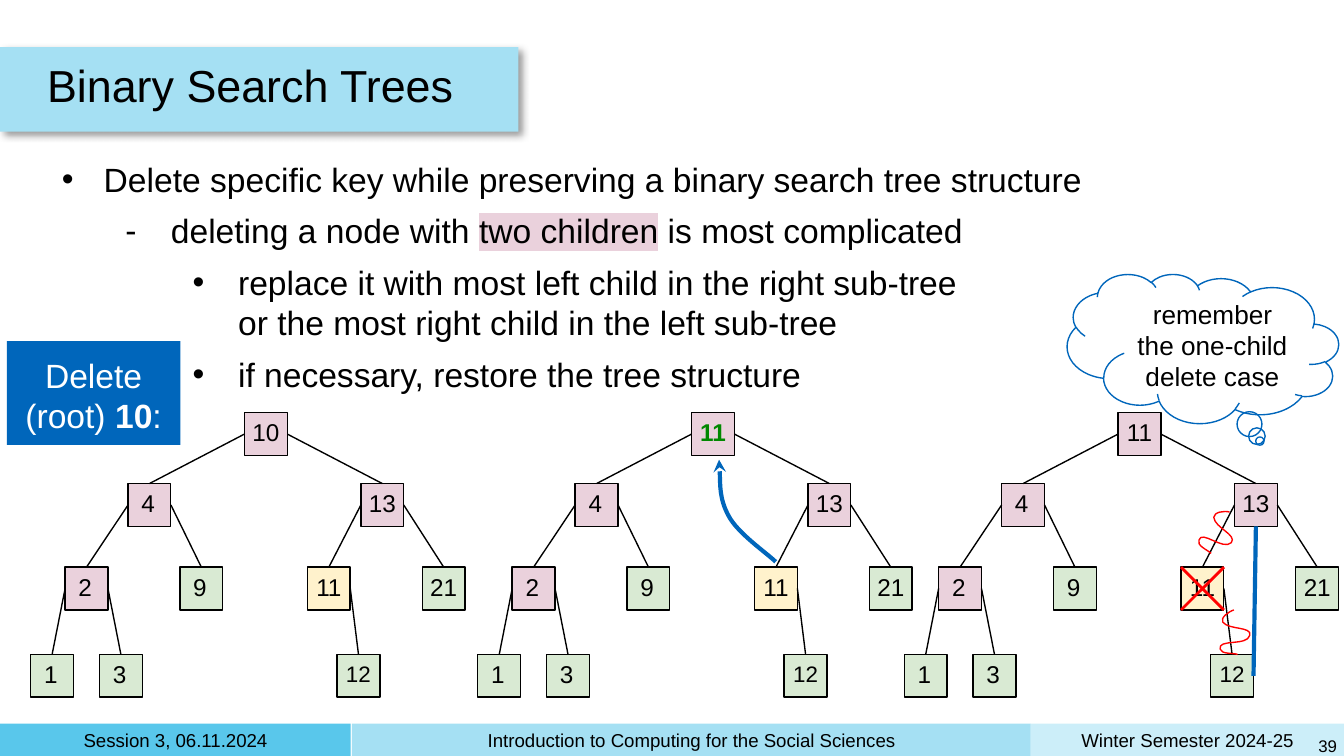
import pptx
import pptx.dml.color
import pptx.enum.shapes
import pptx.enum.text
import pptx.oxml
import pptx.oxml.ns
import pptx.util

Cm = pptx.util.Cm
Pt = pptx.util.Pt
RGB = pptx.dml.color.RGBColor
SHAPE = pptx.enum.shapes.MSO_SHAPE
ALIGN = pptx.enum.text.PP_ALIGN
ANCHOR = pptx.enum.text.MSO_ANCHOR
qn = pptx.oxml.ns.qn

BLACK = RGB(0x00, 0x00, 0x00)
WHITE = RGB(0xFF, 0xFF, 0xFF)
BLUE = RGB(0x00, 0x66, 0xBB)
RED = RGB(0xFF, 0x00, 0x00)
GREEN = RGB(0x00, 0x88, 0x00)
SKY = RGB(0x59, 0xC7, 0xEB)
SKY_LIGHT = RGB(0xA5, 0xE0, 0xF3)
SKY_PALE = RGB(0xCC, 0xEE, 0xF9)
PINK = RGB(0xEA, 0xD1, 0xDC)
LEAF = RGB(0xD9, 0xEA, 0xD3)
CREAM = RGB(0xFF, 0xF2, 0xCC)

NODE_SIZE = 0.81
ROW_TOPS = (7.8, 9.14, 10.72, 12.37)
# name: (label, offset from the root, row, fill, parent)
NODES = {
    "root": ("10", 0, 0, PINK, None),
    "4": ("4", -2.2, 1, PINK, "root"),
    "13": ("13", 2.2, 1, PINK, "root"),
    "2": ("2", -3.39, 2, PINK, "4"),
    "9": ("9", -1.22, 2, LEAF, "4"),
    "11": ("11", 1.19, 2, CREAM, "13"),
    "21": ("21", 3.36, 2, LEAF, "13"),
    "1": ("1", -4.04, 3, LEAF, "2"),
    "3": ("3", -2.74, 3, LEAF, "2"),
    "12": ("12", 1.75, 3, LEAF, "11"),
}
TOP, LEFT, BOTTOM, RIGHT = range(4)  # connection sites of a rectangle

MOVE_UP = [(14.66, 10.62), (14.5, 10.46), (13.94, 10.08), (13.77, 9.75),
           (13.59, 9.42), (13.61, 8.86), (13.59, 8.69)]
UPPER_SQUIGGLE = [(22.89, 10.46), (22.81, 10.39), (22.61, 10.31), (22.66, 10.21),
                  (22.71, 10.01), (23.11, 10.41), (23.27, 10.26),
                  (23.39, 10.11), (22.96, 9.98), (22.94, 9.78),
                  (22.94, 9.68), (23.14, 9.65), (23.24, 9.68)]
LOWER_SQUIGGLE = [(23.39, 12.37), (23.29, 12.34), (23.09, 12.37), (23.06, 12.27),
                  (23.01, 12.07), (23.57, 12.22), (23.62, 12.01),
                  (23.67, 11.84), (23.22, 11.91), (23.11, 11.76),
                  (23.06, 11.68), (23.22, 11.56), (23.32, 11.53)]


def xml(markup):
    """Parse one DrawingML element, given without its namespace."""
    head, rest = markup.split(" ", 1)
    return pptx.oxml.parse_xml(f"{head} {pptx.oxml.ns.nsdecls('a')} {rest}")


def add_text(para, text, size=18, color=BLACK, bold=None, highlight=None):
    for number, line in enumerate(text.split("\n")):
        if number:
            para.add_line_break()
        span = para.add_run()
        span.text = line
        span.font.size = Pt(size)
        span.font.bold = bold
        span.font.name = "Arial"
        span.font.color.rgb = color
        if highlight is not None:
            fill = span.font.fill._xPr.find(qn("a:solidFill"))
            fill.addnext(xml(f'<a:highlight ><a:srgbClr val="{highlight}"/></a:highlight>'))


def set_frame(box, insets=(0.13,) * 4, anchor=ANCHOR.MIDDLE, align=ALIGN.CENTER, wrap=True):
    """Set up the text frame and give back its first paragraph."""
    frame = box.text_frame
    frame.auto_size = pptx.enum.text.MSO_AUTO_SIZE.NONE
    frame.word_wrap = wrap
    frame.vertical_anchor = anchor
    frame.margin_left, frame.margin_top, frame.margin_right, frame.margin_bottom = map(Cm, insets)
    frame.paragraphs[0].alignment = align
    return frame.paragraphs[0]


class SlideBuilder:
    def __init__(self, deck):
        self.page = deck.slides.add_slide(deck.slide_layouts[1])
        self.shapes = self.page.shapes

    def shape(self, kind, place, fill=None, line=None):
        box = self.shapes.add_shape(kind, *map(Cm, place))
        box.shadow.inherit = False
        if fill is None:
            box.fill.background()
        else:
            box.fill.solid()
            box.fill.fore_color.rgb = fill
        if line is None:
            box.line.fill.background()
        else:
            box.line.color.rgb = line
            box.line.width = Pt(0.75)
        return box

    def placeholder(self, number, place, **frame_format):
        """Move a template placeholder to its place, in front of what is drawn so far."""
        box = self.page.placeholders[number]
        box.left, box.top, box.width, box.height = map(Cm, place)
        self.shapes.element.append(box.element)
        return set_frame(box, align=ALIGN.LEFT, **frame_format)

    def bullet(self, para, level, mark, spans):
        para.level = level
        para.alignment = ALIGN.LEFT
        para.space_before = Pt(6 if level else 0)
        props = para._p.get_or_add_pPr()
        props.set("marL", str(Cm(0.79 + 1.27 * level)))
        props.set("indent", str(-Cm(0.86 if level else 0.79)))
        props.append(xml('<a:buFont typeface="Arial"/>'))
        props.append(xml(f'<a:buChar char="{mark}"/>'))
        for text, highlight in spans:
            add_text(para, text, highlight=highlight)

    def line(self, start=(0, 0), end=(0, 0), color=BLACK, width=0.75):
        link = self.shapes.add_connector(
            pptx.enum.shapes.MSO_CONNECTOR.STRAIGHT, *map(Cm, start + end))
        link.line.color.rgb = color
        link.line.width = Pt(width)
        link._element.spPr.append(xml("<a:effectLst />"))
        return link

    def link(self, first, first_site, second, second_site, **line_format):
        link = self.line(**line_format)
        link.begin_connect(first, first_site)
        link.end_connect(second, second_site)

    def curve(self, points, color, width, arrow=False):
        """Draw a Bézier curve: a start, then two controls and an end per piece."""
        start, *others = [(Cm(x), Cm(y)) for x, y in points]
        builder = self.shapes.build_freeform(*start)
        builder.add_line_segments(others, close=False)
        box = builder.convert_to_shape()
        box.shadow.inherit = False
        box.fill.background()
        box.line.color.rgb = color
        box.line.width = Pt(width)
        pieces = list(box.element.iter(qn("a:lnTo")))
        for first in range(0, len(pieces), 3):
            bezier = xml("<a:cubicBezTo />")
            pieces[first].addprevious(bezier)
            for piece in pieces[first:first + 3]:
                bezier.append(piece[0])
                piece.getparent().remove(piece)
        if arrow:
            box.line._get_or_add_ln().append(xml('<a:tailEnd type="stealth"/>'))

    def tree(self, left, root_label, **root_format):
        """Draw one search tree and give back its nodes by name."""
        boxes = {}
        for name, (label, offset, row, fill, parent) in NODES.items():
            place = (left + offset, ROW_TOPS[row], NODE_SIZE, NODE_SIZE)
            box = boxes[name] = self.shape(SHAPE.RECTANGLE, place, fill, BLACK)
            sides = (0.03, 0.03) if len(label) == 2 else (0.2, 0.25)
            para = set_frame(box, (sides[0], 0, sides[1], 0.08))
            if parent is None:
                add_text(para, root_label, size=13, **root_format)
            else:
                add_text(para, label, size=12 if name == "12" else 13)
        for name, (_, offset, _, _, parent) in NODES.items():
            if parent:
                side = LEFT if offset < NODES[parent][1] else RIGHT
                self.link(boxes[parent], side, boxes[name], TOP)
        return boxes


def main():
    deck = pptx.Presentation()
    deck.slide_width, deck.slide_height = Cm(25.4), Cm(14.29)
    slide = SlideBuilder(deck)

    for left, width, fill, text in (
            (19.48, 5.92, SKY_PALE, "Winter Semester 2024-25"),
            (0, 6.63, SKY, "Session 3, 06.11.2024"),
            (6.65, 12.83, SKY_LIGHT, "Introduction to Computing for the Social Sciences")):
        footer = slide.shape(SHAPE.RECTANGLE, (left, 13.68, width, 0.61), fill)
        add_text(set_frame(footer), text, size=10)
    number = slide.shapes.add_textbox(Cm(24.79), Cm(13.77), Cm(0.61), Cm(0.64))
    add_text(set_frame(number, align=ALIGN.RIGHT, wrap=False), "39", size=9)

    band = slide.shape(SHAPE.RECTANGLE, (0, 0.89, 9.8, 1.6), SKY_LIGHT)
    band.element.spPr.find(qn("a:effectLst")).append(xml(
        f'<a:outerShdw blurRad="{Pt(4)}" dist="{Pt(3)}" dir="2700000" algn="tl" rotWithShape="0">'
        '<a:srgbClr val="000000"><a:alpha val="40000"/></a:srgbClr></a:outerShdw>'))
    title = slide.placeholder(0, (0.76, 0.89, 22.1, 1.6))
    title.line_spacing = 0.8
    add_text(title, "Binary Search Trees", size=24)

    para = slide.placeholder(1, (1.04, 2.87, 23.34, 4.75), anchor=ANCHOR.TOP)
    frame = slide.page.placeholders[1].text_frame
    bullets = (
        (0, "•", [("Delete specific key while preserving a binary search tree structure", None)]),
        (1, "-", [("deleting a node with ", None), ("two children", PINK),
                  (" is most complicated", None)]),
        (2, "•", [("replace it with most left child in the right sub-tree\n"
                   "or the most right child in the left sub-tree", None)]),
        (2, "•", [("if necessary, restore the tree structure", None)]),
    )
    for index, bullet in enumerate(bullets):
        slide.bullet(frame.add_paragraph() if index else para, *bullet)

    slide.tree(4.62, "10")
    task = slide.shape(SHAPE.RECTANGLE, (0.13, 6.45, 3.28, 1.96), BLUE)
    para = set_frame(task, (0.25,) * 4, anchor=ANCHOR.TOP)
    for text, bold in (("Delete (root) ", None), ("10", True), (":", None)):
        add_text(para, text, color=WHITE, bold=bold)

    slide.tree(13.07, "11", color=GREEN, bold=True)
    final = slide.tree(21.13, "11")
    left, top = 21.13 + NODES["11"][1], ROW_TOPS[2]
    right, bottom = left + NODE_SIZE, top + NODE_SIZE
    slide.line((left, top), (right, bottom), RED, 1.5)
    slide.line((right, top), (left, bottom), RED, 1.5)
    slide.curve(MOVE_UP, BLUE, 2.25, arrow=True)
    slide.curve(UPPER_SQUIGGLE, RED, 0.75)
    slide.curve(LOWER_SQUIGGLE, RED, 0.75)
    slide.link(final["13"], BOTTOM, final["12"], RIGHT, color=BLUE, width=2.25)

    cloud = slide.shape(SHAPE.CLOUD_CALLOUT, (20.17, 5.18, 5.13, 2.82), line=BLUE)
    cloud.adjustments[0], cloud.adjustments[1] = -0.21, 0.62
    cloud.element.spPr.find(qn("a:xfrm")).set("flipH", "1")
    add_text(set_frame(cloud, (0.25,) * 4), "remember the one-child delete case", size=14)

    deck.save("out.pptx")


if __name__ == "__main__":
    main()
